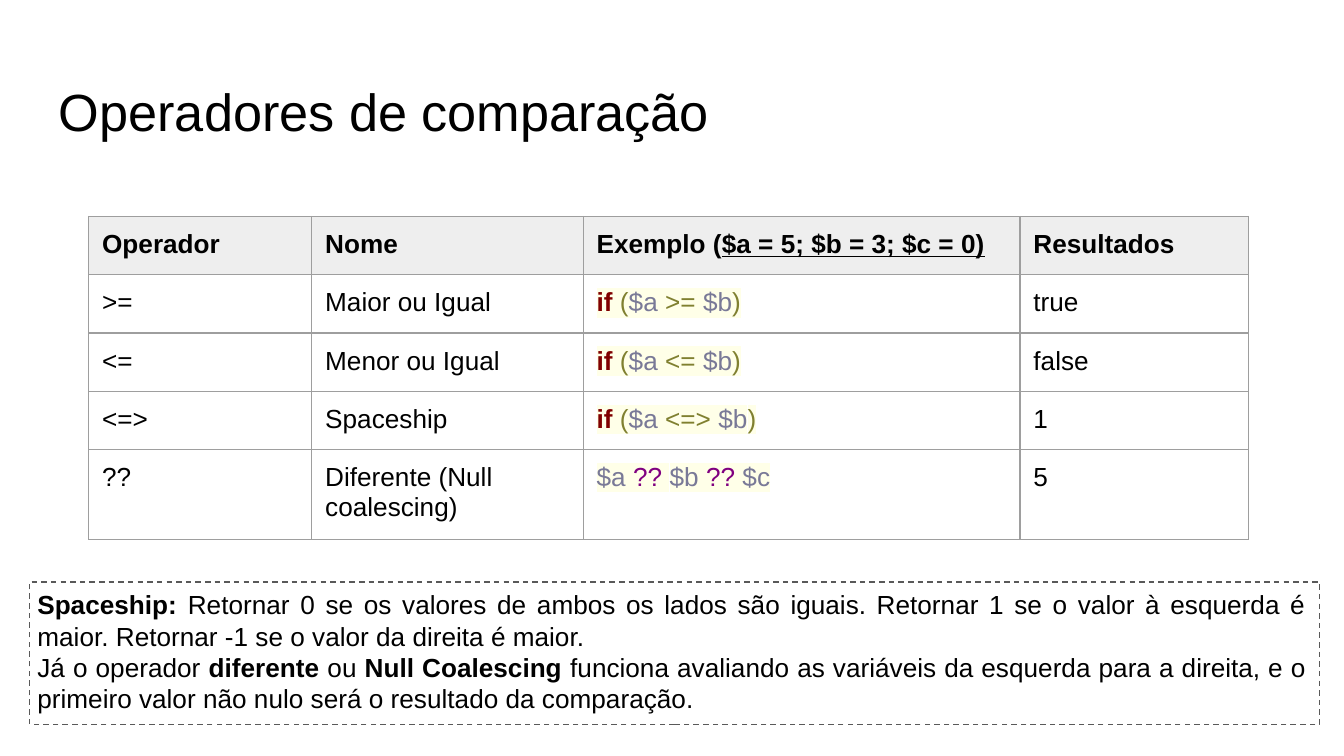
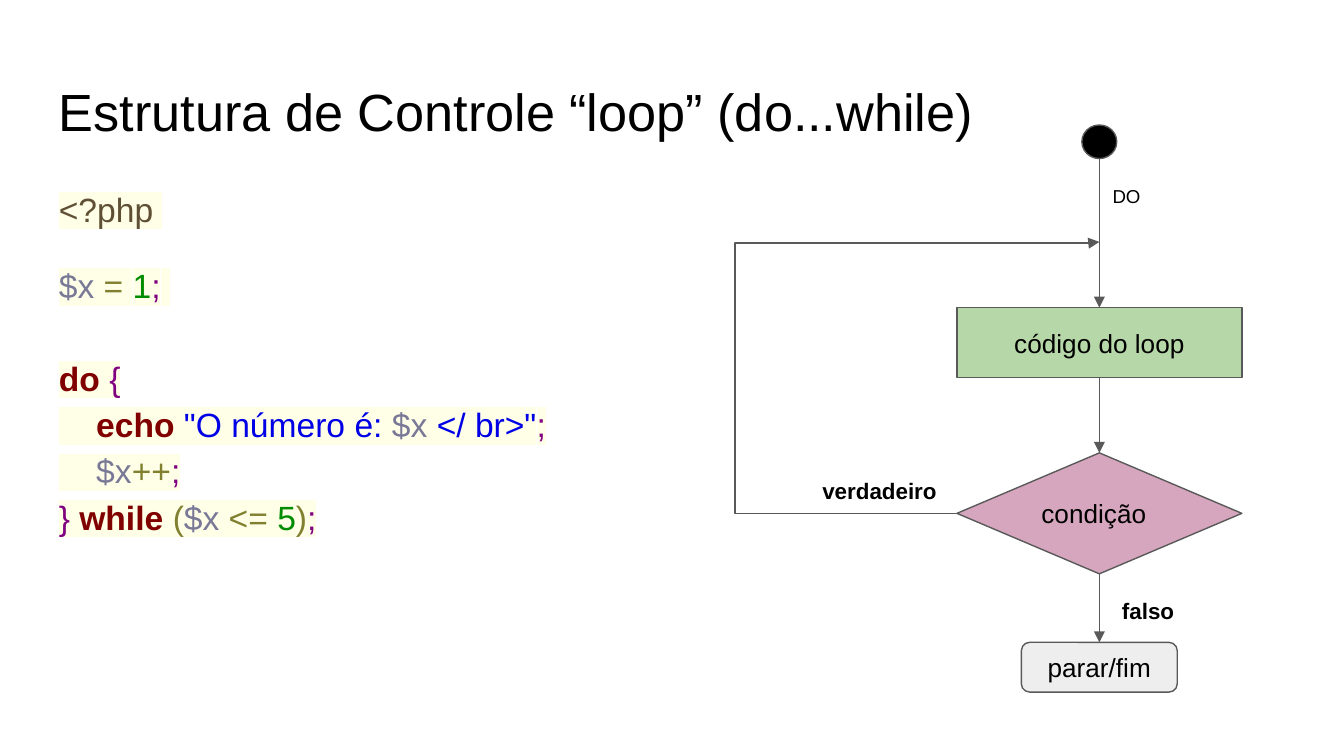
from lxml import etree
from pptx import Presentation
from pptx import util as u
from pptx.dml.color import RGBColor
from pptx.enum import dml, shapes, text
from pptx.oxml import ns

PX = 9144  # 100 px to the inch
FONT = "Arial"
BLACK, LINE, BORDER, GREY = "000000", "595959", "9E9E9E", "EEEEEE"
GREEN, PINK, CODE_BACK = "B6D7A8", "D5A6BD", "FFFFE8"

# Style name: colour, bold, underline, highlight
STYLES = {
    "plain": (BLACK, False, False, None),
    "strong": (BLACK, True, False, None),
    "underlined": (BLACK, True, True, None),
    "space": (BLACK, False, False, CODE_BACK),
    "tag": ("5F5035", False, False, CODE_BACK),
    "keyword": ("800000", True, False, CODE_BACK),
    "operator": ("808030", False, False, CODE_BACK),
    "variable": ("797997", False, False, CODE_BACK),
    "number": ("008C00", False, False, CODE_BACK),
    "mark": ("800080", False, False, CODE_BACK),
    "string": ("0000E6", False, False, CODE_BACK),
}
SPACE = (" ", "space")
A, B, C, X = [(name, "variable") for name in ("$a", "$b", "$c", "$x")]
SEMICOLON, NULL_OP = (";", "mark"), ("??", "mark")


def condition(operator):
    """Runs of an if that compares $a and $b."""
    return [("if", "keyword"), SPACE, ("(", "operator"), A, SPACE,
            (operator, "operator"), SPACE, B, (")", "operator")]


COMPARISON_TITLE = "Operadores de comparação"
HEADER = ["Operador", "Nome",
          [("Exemplo (", "strong"), ("$a = 5; $b = 3; $c = 0)", "underlined")],
          "Resultados"]
OPERATORS = [
    (">=", "Maior ou Igual", condition(">="), "true"),
    ("<=", "Menor ou Igual", condition("<="), "false"),
    ("<=>", "Spaceship", condition("<=>"), "1"),
    ("??", "Diferente (Null coalescing)",
     [A, SPACE, NULL_OP, SPACE, B, SPACE, NULL_OP, SPACE, C], "5"),
]
COLUMNS = [166, 202, 325, 170]
ROW_HEIGHT = 43
TABLE_BOX = (66, 161, 328, 328)
NOTES = [
    [("Spaceship:", "strong"),
     (" Retornar 0 se os valores de ambos os lados são iguais. Retornar 1 se o "
      "valor à esquerda é maior. Retornar -1 se o valor da direita é maior.", "plain")],
    [("Já o operador ", "plain"), ("diferente ", "strong"), ("ou ", "plain"),
     ("Null Coalescing ", "strong"),
     ("funciona avaliando as variáveis da esquerda para a direita, e o primeiro "
      "valor não nulo será o resultado da comparação.", "plain")],
]

LOOP_TITLE = "Estrutura de Controle “loop” (do...while)"
INDENT = ("    ", "space")
BREAK = ("\n", "space")
# Space before in points, runs
CODE = [
    (0, [("<?php", "tag"), SPACE]),
    (16, [X, SPACE, ("=", "operator"), SPACE, ("1", "number"), SEMICOLON, SPACE,
          BREAK, BREAK,
          ("do", "keyword"), SPACE, ("{", "mark"), BREAK,
          INDENT, ("echo", "keyword"), SPACE, ('"O número é: ', "string"), X,
          (' </ br>"', "string"), SEMICOLON, BREAK,
          INDENT, X, ("++", "operator"), SEMICOLON, BREAK,
          ("}", "mark"), SPACE, ("while", "keyword"), SPACE, ("(", "operator"), X,
          SPACE, ("<=", "operator"), SPACE, ("5", "number"), (")", "operator"),
          SEMICOLON]),
]
AXIS = 818
SHAPE = shapes.MSO_SHAPE
CENTER, LEFT = text.PP_ALIGN.CENTER, text.PP_ALIGN.LEFT
# Preset, top, width, height, fill, label, alignment
STEPS = {
    "start": (SHAPE.OVAL, 93, 26, 25, BLACK, "", CENTER),
    "body": (SHAPE.RECTANGLE, 229, 212, 52, GREEN, "código do loop", CENTER),
    "test": (SHAPE.FLOWCHART_DECISION, 337, 212, 90, PINK, "condição", LEFT),
    "end": (SHAPE.ROUNDED_RECTANGLE, 478, 116, 37, GREY, "parar/fim", CENTER),
}
# Text, left, top, width, size, style
BRANCH_LABELS = [
    ("DO", 818, 129, 70, 10, "plain"),
    ("verdadeiro", 602, 345, 110, 12, "strong"),
    ("falso", 825, 434, 110, 12, "strong"),
]
LOOP_BACK_Y = 180
LOOP_BACK_BENDS = {"adj1": -155700, "adj2": 99600}


def px(*lengths):
    return [length * PX for length in lengths]


def rgb(color):
    return RGBColor.from_string(color)


def add_runs(paragraph, runs, size):
    for words, style in runs:
        if words == "\n":
            paragraph.add_line_break()
            continue
        color, bold, underline, highlight = STYLES[style]
        run = paragraph.add_run()
        run.text = words
        font = run.font
        font.name, font.size = FONT, u.Pt(size)
        font.bold, font.underline = bold, underline
        font.color.rgb = rgb(color)
        if highlight:
            back = etree.Element(ns.qn("a:highlight"))
            etree.SubElement(back, ns.qn("a:srgbClr"), val=highlight)
            run._r.get_or_add_rPr().find(ns.qn("a:solidFill")).addnext(back)


def set_frame(frame, anchor=text.MSO_ANCHOR.TOP):
    frame.word_wrap = True
    frame.vertical_anchor = anchor
    frame.margin_left = frame.margin_right = 10 * PX
    frame.margin_top = frame.margin_bottom = 10 * PX


def add_text(slide, box, lines, size, align=LEFT, spacing=None):
    """Text box from paragraphs of (space before, runs)."""
    frame = slide.shapes.add_textbox(*px(*box)).text_frame
    set_frame(frame)
    for number, (gap, runs) in enumerate(lines):
        paragraph = frame.add_paragraph() if number else frame.paragraphs[0]
        paragraph.alignment = align
        if spacing:
            paragraph.line_spacing = spacing
        if gap:
            paragraph.space_before = u.Pt(gap)
        add_runs(paragraph, runs, size)


def add_slide(deck, title):
    slide = deck.slides.add_slide(deck.slide_layouts[6])
    add_text(slide, (34, 49, 932, 63), [(0, [(title, "plain")])], 28)
    return slide


def add_outlined(slide, preset, box, fill=None):
    shape = slide.shapes.add_shape(preset, *px(*box))
    shape.shadow.inherit = False
    if fill:
        shape.fill.solid()
        shape.fill.fore_color.rgb = rgb(fill)
    else:
        shape.fill.background()
    shape.line.color.rgb = rgb(LINE)
    shape.line.width = u.Pt(0.75)
    return shape


def add_borders(cell):
    properties = cell._tc.get_or_add_tcPr()
    for side in ("lnL", "lnR", "lnT", "lnB"):
        line = etree.SubElement(properties, ns.qn("a:" + side), w=str(u.Pt(0.75)))
        fill = etree.SubElement(line, ns.qn("a:solidFill"))
        etree.SubElement(fill, ns.qn("a:srgbClr"), val=BORDER)


def add_operator_table(slide):
    rows = [HEADER, *OPERATORS]
    holder = slide.shapes.add_table(len(rows), len(COLUMNS), *px(*TABLE_BOX))
    table = holder.table
    table.first_row = table.horz_banding = False
    for column, width in zip(table.columns, COLUMNS):
        column.width = width * PX
    for r, row in enumerate(rows):
        table.rows[r].height = ROW_HEIGHT * PX
        for c, content in enumerate(row):
            cell = table.cell(r, c)
            add_borders(cell)
            cell.margin_left = cell.margin_right = 10 * PX
            cell.margin_top = cell.margin_bottom = 10 * PX
            if r == 0:
                cell.fill.solid()
                cell.fill.fore_color.rgb = rgb(GREY)
            else:
                cell.fill.background()
            if isinstance(content, str):
                content = [(content, "plain" if r else "strong")]
            add_runs(cell.text_frame.paragraphs[0], content, 14)
    holder.width, holder.height = px(*TABLE_BOX[2:])


def add_arrow(slide, kind, start, end):
    arrow = slide.shapes.add_connector(kind, *px(*start, *end))
    arrow.line.color.rgb = rgb(LINE)
    arrow.line.width = u.Pt(0.75)
    etree.SubElement(arrow.line._get_or_add_ln(), ns.qn("a:tailEnd"), type="triangle")
    etree.SubElement(arrow._element.spPr, ns.qn("a:effectLst"))
    return arrow


def add_loop_back(slide, test):
    """Four-part arrow from the left corner of the test up to the axis."""
    _, top, width, height, *_ = STEPS["test"]
    arrow = add_arrow(slide, shapes.MSO_CONNECTOR.ELBOW,
                      (AXIS - width // 2, top + height // 2), (AXIS, LOOP_BACK_Y))
    arrow.begin_connect(test, 1)
    properties = arrow._element.spPr
    frame = properties.find(ns.qn("a:xfrm"))
    frame.attrib.pop("flipV", None)
    frame.set("rot", "10800000")
    frame.set("flipH", "1")
    geometry = properties.find(ns.qn("a:prstGeom"))
    geometry.set("prst", "bentConnector4")
    bends = geometry.find(ns.qn("a:avLst"))
    for name, value in LOOP_BACK_BENDS.items():
        etree.SubElement(bends, ns.qn("a:gd"), name=name, fmla=f"val {value}")


def add_flowchart(slide):
    steps = {}
    for name, (preset, top, width, height, fill, label, align) in STEPS.items():
        step = add_outlined(slide, preset, (AXIS - width // 2, top, width, height), fill)
        if label:
            set_frame(step.text_frame, text.MSO_ANCHOR.MIDDLE)
            paragraph = step.text_frame.paragraphs[0]
            paragraph.alignment = align
            add_runs(paragraph, [(label, "plain")], 14)
        steps[name] = step

    names = list(STEPS)
    for upper, lower in zip(names, names[1:]):
        bottom = STEPS[upper][1] + STEPS[upper][3]
        arrow = add_arrow(slide, shapes.MSO_CONNECTOR.STRAIGHT,
                          (AXIS, bottom), (AXIS, STEPS[lower][1]))
        if upper != "start":
            arrow.begin_connect(steps[upper], 2)
        arrow.end_connect(steps[lower], 0)
    add_loop_back(slide, steps["test"])

    for label, left, top, width, size, style in BRANCH_LABELS:
        add_text(slide, (left, top, width, 37), [(0, [(label, style)])], size)


def main():
    deck = Presentation()
    deck.slide_width = u.Inches(10)
    deck.slide_height = deck.slide_width * 9 // 16

    comparison = add_slide(deck, COMPARISON_TITLE)
    add_operator_table(comparison)
    add_text(comparison, (18, 428, 964, 121), [(0, runs) for runs in NOTES], 14,
             text.PP_ALIGN.JUSTIFY)
    note_frame = add_outlined(comparison, SHAPE.RECTANGLE, (22, 433, 960, 106))
    note_frame.line.dash_style = dml.MSO_LINE.DASH

    loop = add_slide(deck, LOOP_TITLE)
    add_text(loop, (34, 126, 383, 374), CODE, 18, spacing=1.15)
    add_flowchart(loop)

    deck.save("out.pptx")


if __name__ == "__main__":
    main()
